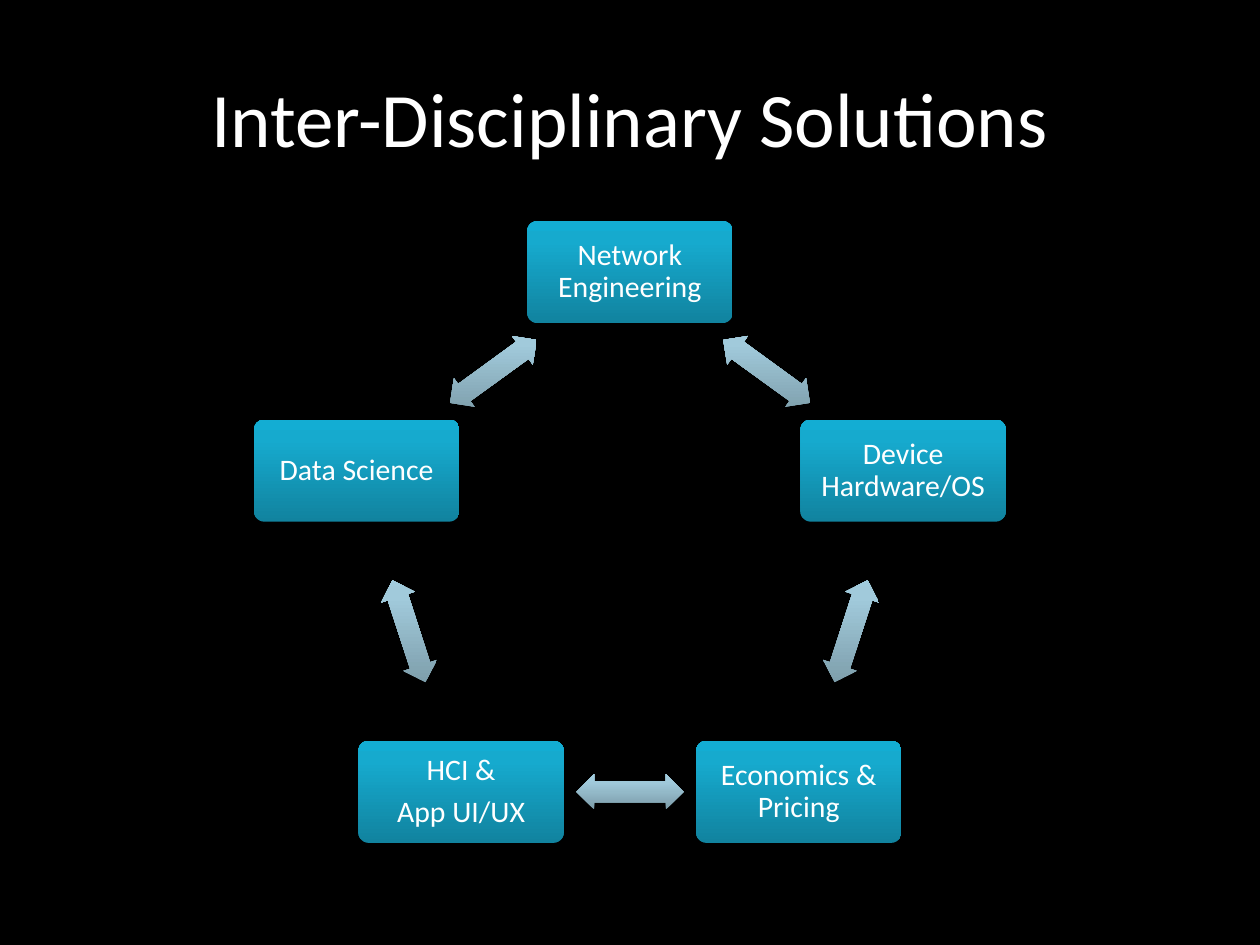
"""Build a slide with five disciplines in a ring, linked by two-way arrows."""
from math import cos, radians, sin

from pptx import Presentation
from pptx.dml.color import RGBColor
from pptx.enum.shapes import MSO_SHAPE
from pptx.enum.text import MSO_ANCHOR, PP_ALIGN
from pptx.oxml import parse_xml
from pptx.oxml.ns import nsdecls
from pptx.util import Inches, Pt

ROUNDED = MSO_SHAPE.ROUNDED_RECTANGLE
TWO_WAY = MSO_SHAPE.LEFT_RIGHT_ARROW
MIDDLE = MSO_ANCHOR.MIDDLE
CENTER = PP_ALIGN.CENTER

BLACK = RGBColor(0x00, 0x00, 0x00)
WHITE = RGBColor(0xFF, 0xFF, 0xFF)
DISCIPLINE_STOPS = [
    (0, RGBColor(0x11, 0x83, 0x9F)),
    (80, RGBColor(0x16, 0xAA, 0xCE)),
    (100, RGBColor(0x13, 0xAD, 0xD3)),
]
LINK_STOPS = [
    (0, RGBColor(0x7C, 0x9C, 0xA9)),
    (80, RGBColor(0xA1, 0xCA, 0xDB)),
    (100, RGBColor(0xA1, 0xCC, 0xDE)),
]
FONT = "Calibri"

TITLE = "Inter-Disciplinary Solutions"
DISCIPLINES = [
    ["Network Engineering"],
    ["Device Hardware/OS"],
    ["Economics & Pricing"],
    ["HCI &", "App UI/UX"],
    ["Data Science"],
]

RING_X, RING_Y, RING_RADIUS = 5, 4.44, 2.28
DISCIPLINE_SIZE = (1.63, 0.81)
LINK_SIZE = (0.85, 0.28)
STEP = 360 / len(DISCIPLINES)
LINK_RADIUS = RING_RADIUS * cos(radians(STEP / 2))


def write(paragraph, text, size):
    paragraph.alignment = CENTER
    run = paragraph.add_run()
    run.text = text
    run.font.name = FONT
    run.font.size = Pt(size)
    run.font.color.rgb = WHITE


def add_ring_part(slide, kind, size, angle, radius, stops):
    width, height = size
    x = RING_X + radius * sin(radians(angle))
    y = RING_Y - radius * cos(radians(angle))
    part = slide.shapes.add_shape(
        kind, Inches(x - width / 2), Inches(y - height / 2),
        Inches(width), Inches(height))
    part.shadow.inherit = False
    part.line.fill.background()
    stop_xml = "".join(
        f'<a:gs pos="{position * 1000}"><a:srgbClr val="{color}"/></a:gs>'
        for position, color in stops)
    gradient = parse_xml(
        f'<a:gradFill {nsdecls("a")} rotWithShape="0"><a:gsLst>{stop_xml}</a:gsLst>'
        '<a:lin ang="16200000" scaled="0"/></a:gradFill>')
    part.line._get_or_add_ln().addprevious(gradient)
    return part


def add_discipline(slide, lines, angle):
    discipline = add_ring_part(
        slide, ROUNDED, DISCIPLINE_SIZE, angle, RING_RADIUS, DISCIPLINE_STOPS)
    discipline.adjustments[0] = 0.1
    label = discipline.text_frame
    label.word_wrap = True
    label.vertical_anchor = MIDDLE
    label.margin_left = label.margin_right = Inches(0.08)
    label.margin_top = label.margin_bottom = Inches(0.08)
    for index, line in enumerate(lines):
        paragraph = label.add_paragraph() if index else label.paragraphs[0]
        paragraph.line_spacing = 0.9
        paragraph.space_after = Pt(6)
        write(paragraph, line, 17)


def add_link(slide, angle):
    link = add_ring_part(slide, TWO_WAY, LINK_SIZE, angle, LINK_RADIUS, LINK_STOPS)
    link.adjustments[0] = 0.6
    link.adjustments[1] = 0.5
    link.rotation = angle


def main():
    deck = Presentation()
    deck.slide_width, deck.slide_height = Inches(10), Inches(7.5)
    slide = deck.slides.add_slide(deck.slide_layouts[5])
    slide.background.fill.solid()
    slide.background.fill.fore_color.rgb = BLACK

    title = slide.shapes.title
    title.left, title.top = Inches(0.5), Inches(0.3)
    title.width, title.height = Inches(9), Inches(1.25)
    title.text_frame.vertical_anchor = MIDDLE
    write(title.text_frame.paragraphs[0], TITLE, 44)

    for index, lines in enumerate(DISCIPLINES):
        add_discipline(slide, lines, index * STEP)
        add_link(slide, (index + 0.5) * STEP)

    deck.save("out.pptx")


if __name__ == "__main__":
    main()
